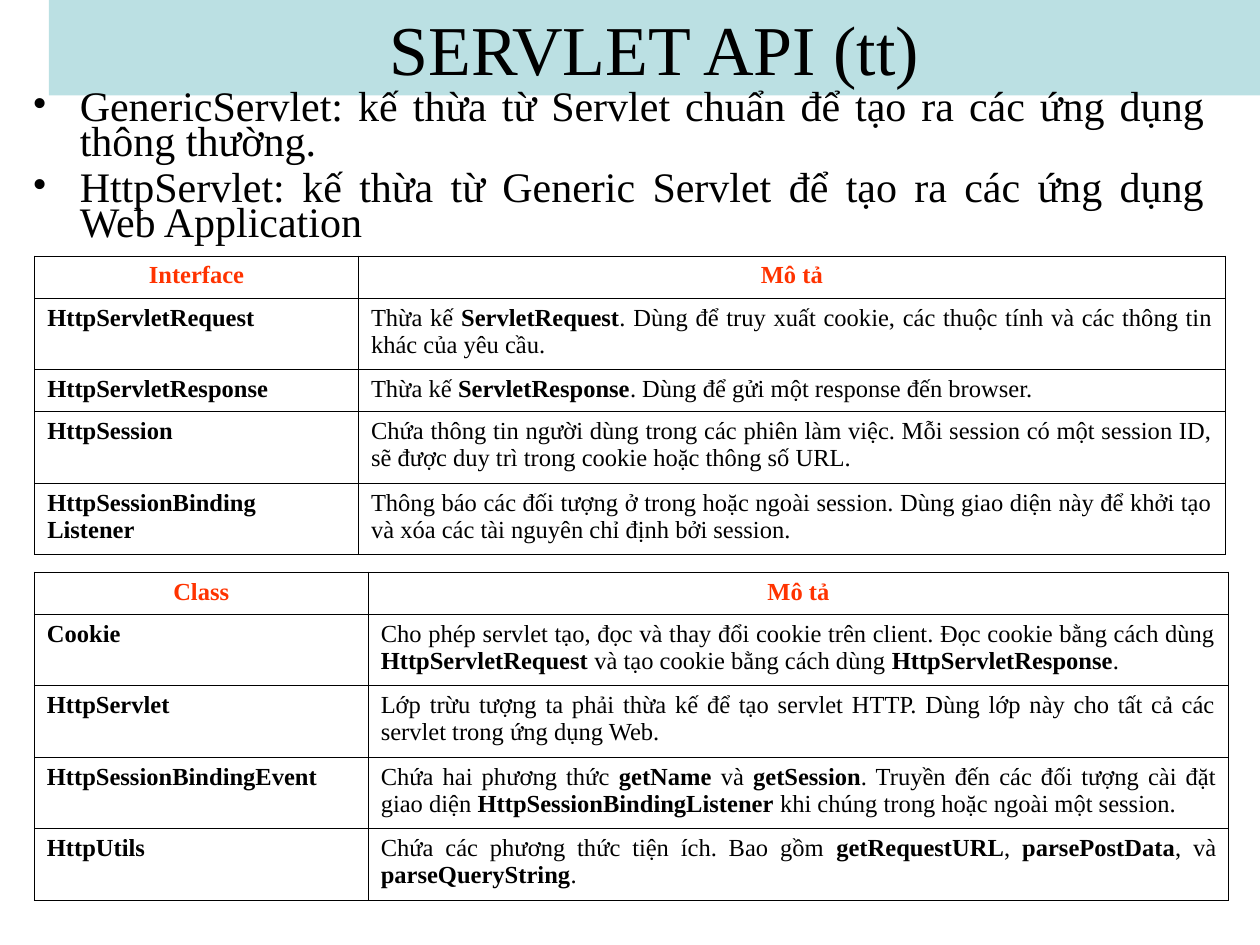
from dataclasses import dataclass

from lxml.etree import SubElement
from pptx import Presentation
from pptx.dml.color import RGBColor
from pptx.enum.shapes import MSO_SHAPE
from pptx.enum.text import MSO_ANCHOR, PP_ALIGN
from pptx.oxml import parse_xml
from pptx.oxml.ns import nsdecls, qn
from pptx.util import Pt

BLACK = RGBColor(0x00, 0x00, 0x00)
HEADING_RED = RGBColor(0xFF, 0x33, 0x00)
TITLE_BLUE = RGBColor(0xBB, 0xE0, 0xE3)
FONT = "Times New Roman"
HEADER_HEIGHT, ONE_LINE, TWO_LINES = 24, 24, 40.8
BULLET_INDENT = 27


@dataclass(frozen=True)
class Row:
    name: str  # a line break starts a new paragraph
    description: str  # **marks** enclose bold words
    height: float = TWO_LINES


@dataclass(frozen=True)
class ReferenceTable:
    left: float
    top: float
    column_widths: tuple[float, float]
    heading: str
    rows: tuple[Row, ...]


BULLETS = (
    "GenericServlet: kế thừa từ Servlet chuẩn để tạo ra các ứng dụng thông thường.",
    "HttpServlet: kế thừa từ Generic Servlet để tạo ra các ứng dụng Web Application",
)

INTERFACES = ReferenceTable(19.8, 146.2, (185, 495.4), "Interface", (
    Row("HttpServletRequest",
        "Thừa kế **ServletRequest**. Dùng để truy xuất cookie, các thuộc tính "
        "và các thông tin khác của yêu cầu."),
    Row("HttpServletResponse",
        "Thừa kế **ServletResponse**. Dùng để gửi một response đến browser.", ONE_LINE),
    Row("HttpSession",
        "Chứa thông tin người dùng trong các phiên làm việc. Mỗi session có một "
        "session ID, sẽ được duy trì trong cookie hoặc thông số URL."),
    Row("HttpSessionBinding\nListener",
        "Thông báo các đối tượng ở trong hoặc ngoài session. Dùng giao diện này "
        "để khởi tạo và xóa các tài nguyên chỉ định bởi session."),
))

CLASSES = ReferenceTable(19.6, 326.9, (190.8, 491.8), "Class", (
    Row("Cookie",
        "Cho phép servlet tạo, đọc và thay đổi cookie trên client. Đọc cookie bằng "
        "cách dùng **HttpServletRequest** và tạo cookie bằng cách dùng "
        "**HttpServletResponse**."),
    Row("HttpServlet",
        "Lớp trừu tượng ta phải thừa kế để tạo servlet HTTP. Dùng lớp này cho tất cả "
        "các servlet trong ứng dụng Web."),
    Row("HttpSessionBindingEvent",
        "Chứa hai phương thức **getName** và **getSession**. Truyền đến các đối tượng "
        "cài đặt giao diện **HttpSessionBindingListener** khi chúng trong hoặc ngoài "
        "một session."),
    Row("HttpUtils",
        "Chứa các phương thức tiện ích. Bao gồm **getRequestURL**, **parsePostData**, "
        "và **parseQueryString**."),
))


def add_run(paragraph, text: str, size: float, color: RGBColor = BLACK,
            bold: bool = False) -> None:
    run = paragraph.add_run()
    run.text = text
    run.font.name = FONT
    run.font.size = Pt(size)
    run.font.bold = bold
    run.font.color.rgb = color


def next_paragraph(text_frame, index: int):
    return text_frame.add_paragraph() if index else text_frame.paragraphs[0]


def add_title(slide, text: str) -> None:
    shape = slide.shapes.add_shape(MSO_SHAPE.RECTANGLE, Pt(28), Pt(0), Pt(692), Pt(54.5))
    shape.shadow.inherit = False
    shape.fill.solid()
    shape.fill.fore_color.rgb = TITLE_BLUE
    shape.line.fill.background()
    shape.text_frame.vertical_anchor = MSO_ANCHOR.MIDDLE
    paragraph = shape.text_frame.paragraphs[0]
    paragraph.alignment = PP_ALIGN.CENTER
    add_run(paragraph, text, 40)


def add_bullets(slide, items: tuple[str, ...]) -> None:
    shape = slide.shapes.add_textbox(Pt(11.5), Pt(49.7), Pt(684), Pt(100.8))
    shape.text_frame.word_wrap = True
    for index, item in enumerate(items):
        paragraph = next_paragraph(shape.text_frame, index)
        paragraph.alignment = PP_ALIGN.JUSTIFY
        paragraph.line_spacing = 0.7
        if index:
            paragraph.space_before = Pt(6)
        properties = paragraph._p.get_or_add_pPr()
        properties.set("marL", str(Pt(BULLET_INDENT)))
        properties.set("indent", str(-Pt(BULLET_INDENT)))
        SubElement(properties, qn("a:buFont"), typeface=FONT)
        SubElement(properties, qn("a:buChar"), char="•")
        add_run(paragraph, item, 24)


def style_cell(cell) -> None:
    cell.fill.background()
    cell.margin_left = cell.margin_right = Pt(7.2)
    cell.margin_top = cell.margin_bottom = Pt(3.6)
    properties = cell._tc.get_or_add_tcPr()
    for index, side in enumerate(("lnL", "lnR", "lnT", "lnB")):
        properties.insert(index, parse_xml(
            f'<a:{side} {nsdecls("a")} w="{Pt(0.45)}"><a:solidFill>'
            f'<a:srgbClr val="{BLACK}"/></a:solidFill></a:{side}>'))


def fill_cell(cell, text: str, alignment: PP_ALIGN = PP_ALIGN.JUSTIFY,
              color: RGBColor = BLACK) -> None:
    style_cell(cell)
    for index, line in enumerate(text.split("\n")):
        paragraph = next_paragraph(cell.text_frame, index)
        paragraph.alignment = alignment
        for position, part in enumerate(line.split("**")):
            if part:
                add_run(paragraph, part, 14, color, bold=position % 2 == 1)


def bold_lines(text: str) -> str:
    return "\n".join(f"**{line}**" for line in text.split("\n"))


def add_reference_table(slide, reference: ReferenceTable) -> None:
    heights = (HEADER_HEIGHT, *(row.height for row in reference.rows))
    table = slide.shapes.add_table(
        len(heights), 2, Pt(reference.left), Pt(reference.top),
        Pt(sum(reference.column_widths)), Pt(sum(heights))).table
    table.first_row = table.horz_banding = False
    for column, width in zip(table.columns, reference.column_widths):
        column.width = Pt(width)
    for table_row, height in zip(table.rows, heights):
        table_row.height = Pt(height)
    for index, heading in enumerate((reference.heading, "Mô tả")):
        fill_cell(table.cell(0, index), bold_lines(heading), PP_ALIGN.CENTER, HEADING_RED)
    for index, row in enumerate(reference.rows, start=1):
        fill_cell(table.cell(index, 0), bold_lines(row.name))
        fill_cell(table.cell(index, 1), row.description)


def main() -> None:
    presentation = Presentation()
    presentation.slide_width, presentation.slide_height = Pt(720), Pt(540)
    slide = presentation.slides.add_slide(presentation.slide_layouts[6])

    # Title band and introduction
    add_title(slide, "SERVLET API (tt)")
    add_bullets(slide, BULLETS)

    # Interface and class references
    for reference in (INTERFACES, CLASSES):
        add_reference_table(slide, reference)

    presentation.save("out.pptx")


if __name__ == "__main__":
    main()
